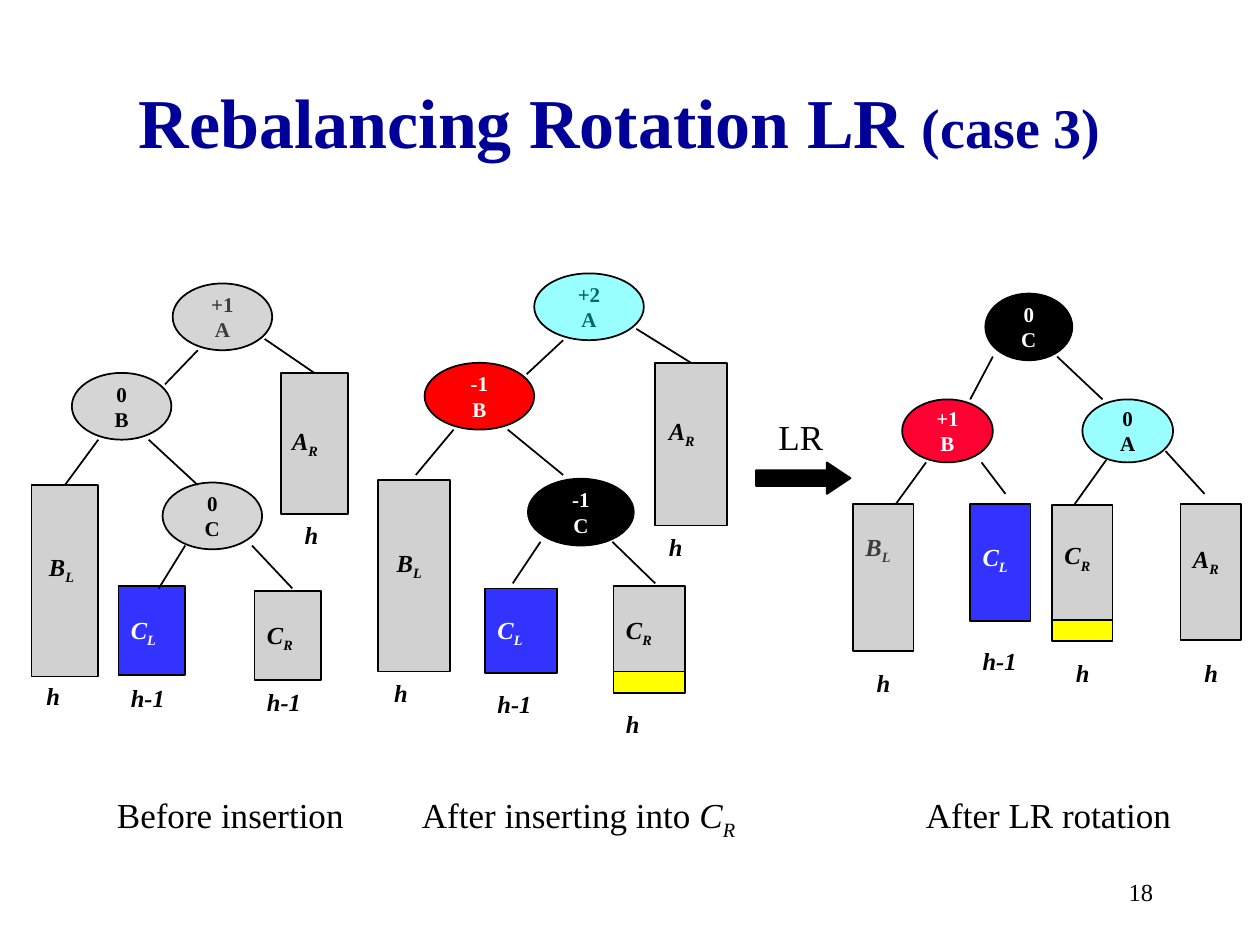
"""Build a slide that shows an AVL tree through an LR rebalancing rotation."""
from lxml import etree
from pptx import Presentation, util as u
from pptx.dml.color import RGBColor
from pptx.enum import shapes, text
from pptx.oxml.ns import qn

BLACK = RGBColor(0, 0, 0)
WHITE = RGBColor(255, 255, 255)
NAVY = RGBColor(0, 0, 0x99)
GREY = RGBColor(0x96, 0x96, 0x96)
BLUE = RGBColor(0, 0, 255)
CYAN = RGBColor(0, 255, 255)
TEAL = RGBColor(0, 0x66, 0x66)
DIM = RGBColor(0x3C, 0x3C, 0x3C)
RED = RGBColor(255, 0, 0)
ROSE = RGBColor(255, 0, 0x33)
YELLOW = RGBColor(255, 255, 0)
FONT = "Times New Roman"
COLS, ROWS = 10, 7.5
CAP = 0.17

STYLE = {
    "grey": (GREY, 40, BLACK), "dim": (GREY, 40, DIM),
    "cyan": (CYAN, 40, BLACK), "teal": (CYAN, 40, TEAL),
    "red": (RED, 100, WHITE), "rose": (ROSE, 100, WHITE),
    "black": (BLACK, 100, WHITE),
    "bar": (GREY, 43, BLACK), "faint": (GREY, 43, DIM),
    "blue": (BLUE, 80, WHITE),
}

# nodes: x, y, w, h, balance, key, style
# bars: x, y, h, name, name x, name y, style, size, size x, size y
TREES = [
    dict(
        wide=0.53,
        nodes=[(1.37, 2.25, 0.79, 0.53, "+1", "A", "dim"),
               (0.57, 2.96, 0.79, 0.53, "0", "B", "grey"),
               (1.29, 3.83, 0.79, 0.53, "0", "C", "grey")],
        bars=[(0.25, 3.85, 1.52, "B_L", 0.29, 4.33, "bar", "h", 0.27, 5.36),
              (0.94, 4.65, 0.71, "C_L", 0.94, 4.83, "blue", "h-1", 0.94, 5.37),
              (2.02, 4.69, 0.71, "C_R", 2.02, 4.87, "bar", "h-1", 2.02, 5.4),
              (2.23, 2.96, 1.12, "A_R", 2.22, 3.33, "bar", "h", 2.32, 4.08)],
        caps=[],
        edges=[(1.57, 2.78, 1.31, 3.05), (2.1, 2.69, 2.5, 2.96),
               (0.78, 3.49, 0.51, 3.85), (1.18, 3.49, 1.57, 3.85),
               (1.47, 4.33, 1.26, 4.67), (2, 4.33, 2.32, 4.67)]),
    dict(
        wide=0.57,
        nodes=[(4.24, 2.17, 0.87, 0.53, "+2", "A", "teal"),
               (3.37, 2.88, 0.87, 0.53, "-1", "B", "red"),
               (4.19, 3.8, 0.84, 0.53, "-1", "C", "black")],
        bars=[(3, 3.81, 1.52, "B_L", 3.05, 4.3, "bar", "h", 3.03, 5.33),
              (3.85, 4.67, 0.67, "C_L", 3.85, 4.83, "blue", "h-1", 3.85, 5.42),
              (4.87, 4.65, 0.71, "C_R", 4.87, 4.83, "bar", "h", 4.87, 5.58),
              (5.2, 2.88, 1.29, "A_R", 5.21, 3.25, "bar", "h", 5.21, 4.17)],
        caps=[(4.87, 5.33)],
        edges=[(4.47, 2.7, 4.18, 2.97), (5.05, 2.61, 5.49, 2.88),
               (3.6, 3.41, 3.3, 3.77), (4.03, 3.41, 4.47, 3.77),
               (4.29, 4.3, 4.07, 4.63), (4.86, 4.3, 5.2, 4.63)]),
    dict(
        wide=0.48,
        nodes=[(7.82, 2.33, 0.69, 0.53, "0", "C", "black"),
               (7.16, 3.17, 0.72, 0.5, "+1", "B", "rose"),
               (8.59, 3.17, 0.72, 0.5, "0", "A", "cyan")],
        bars=[(6.77, 4, 1.17, "B_L", 6.77, 4.17, "faint", "h", 6.86, 5.25),
              (7.7, 4, 0.93, "C_L", 7.7, 4.25, "blue", "h-1", 7.7, 5.08),
              (8.35, 4.01, 0.93, "C_R", 8.35, 4.24, "bar", "h", 8.44, 5.17),
              (9.37, 4, 1.08, "A_R", 9.37, 4.27, "bar", "h", 9.46, 5.17)],
        caps=[(8.35, 4.92)],
        edges=[(7.88, 2.83, 7.7, 3.17), (8.39, 2.83, 8.75, 3.17),
               (7.35, 3.67, 7.11, 4), (7.79, 3.67, 7.98, 3.92),
               (8.78, 3.65, 8.53, 4), (9.25, 3.58, 9.56, 3.92)]),
]
NOTES = [(6.08, 3.25, 0.65, "LR", ""), (0.83, 6.25, 2.1, "Before insertion", ""),
         (3.25, 6.25, 2.83, "After inserting into ", "C_R"),
         (7.25, 6.25, 2.33, "After LR rotation", "")]

deck = Presentation()
deck.slide_width, deck.slide_height = u.Inches(COLS), u.Inches(ROWS)
slide = deck.slides.add_slide(deck.slide_layouts[6])


def span(*vals):
    return [u.Inches(v) for v in vals]


def add(para, words, size, color, bold=False, slant=False, low=False):
    run = para.add_run()
    run.text = words
    font = run.font
    font.name, font.size, font.bold, font.italic = FONT, u.Pt(size), bold, slant
    font.color.rgb = color
    if low:
        font._element.set("baseline", "-25000")


def term(para, name, size, color, bold):
    base, _, sub = name.partition("_")
    add(para, base, size, color, bold, True)
    if sub:
        add(para, sub, size, color, bold, True, True)


def area(x, y, w, h, align=text.PP_ALIGN.LEFT, anchor=text.MSO_ANCHOR.TOP):
    frame = slide.shapes.add_textbox(*span(x, y, w, h)).text_frame
    frame.word_wrap, frame.vertical_anchor = True, anchor
    frame.paragraphs[0].alignment = align
    return frame.paragraphs[0]


def shape(kind, x, y, w, h, color, alpha=100):
    item = slide.shapes.add_shape(kind, *span(x, y, w, h))
    item.shadow.inherit = False
    item.fill.solid()
    item.fill.fore_color.rgb = color
    if alpha < 100:
        tone = item._element.spPr.find(qn("a:solidFill"))[0]
        etree.SubElement(tone, qn("a:alpha")).set("val", str(alpha * 1000))
    item.line.color.rgb, item.line.width = BLACK, u.Pt(1)
    return item


def node(x, y, w, h, score, key, style):
    fill, alpha, ink = STYLE[style]
    frame = shape(shapes.MSO_SHAPE.OVAL, x, y, w, h, fill, alpha).text_frame
    frame.margin_left = frame.margin_right = 0
    frame.margin_top = frame.margin_bottom = 0
    frame.word_wrap, frame.vertical_anchor = False, text.MSO_ANCHOR.MIDDLE
    para = frame.paragraphs[0]
    para.alignment = text.PP_ALIGN.CENTER
    add(para, score, 12, ink, True)
    para.add_line_break()
    add(para, key, 12, ink, True)


def edge(x1, y1, x2, y2, bars, wide):
    line = slide.shapes.add_connector(shapes.MSO_CONNECTOR.STRAIGHT, *span(x1, y1, x2, y2))
    line.line.color.rgb, line.line.width = BLACK, u.Pt(1)
    etree.SubElement(line._element.spPr, qn("a:effectLst"))
    for x, y, bar in bars:
        if max(abs(x + wide / 2 - x2), abs(y - y2)) < 0.02:
            line.end_connect(bar, 0)


def tree(wide, nodes, bars, caps, edges):
    rect, tops = shapes.MSO_SHAPE.RECTANGLE, []
    for x, y, h, name, nx, ny, style, size, sx, sy in bars:
        fill, alpha, ink = STYLE[style]
        tops.append((x, y, shape(rect, x, y, wide, h, fill, alpha)))
        term(area(nx, ny, 0.6, 0.33), name, 14, ink, True)
        term(area(sx, sy, 0.54, 0.33), size, 14, BLACK, True)
    for x, y in caps:
        shape(rect, x, y, wide, CAP, YELLOW)
    for ends in edges:
        edge(*ends, tops, wide)
    for item in nodes:
        node(*item)


head = area(0.67, 0.33, 8.5, 1.25, text.PP_ALIGN.CENTER, text.MSO_ANCHOR.MIDDLE)
add(head, "Rebalancing Rotation LR ", 40, NAVY, True)
add(head, "(case 3)", 32, NAVY, True)
for part in TREES:
    tree(**part)
arrow = shape(shapes.MSO_SHAPE.RIGHT_ARROW, 6, 3.67, 0.75, 0.25, BLACK)
arrow.adjustments[0], arrow.adjustments[1] = 0.5, 0.75
for x, y, w, words, name in NOTES:
    note = area(x, y, w, 0.43)
    add(note, words, 20, BLACK)
    if name:
        term(note, name, 20, BLACK, False)
add(area(7.17, 6.83, 2.08, 0.5, text.PP_ALIGN.RIGHT, text.MSO_ANCHOR.MIDDLE), "18", 14, BLACK)
deck.save("out.pptx")
